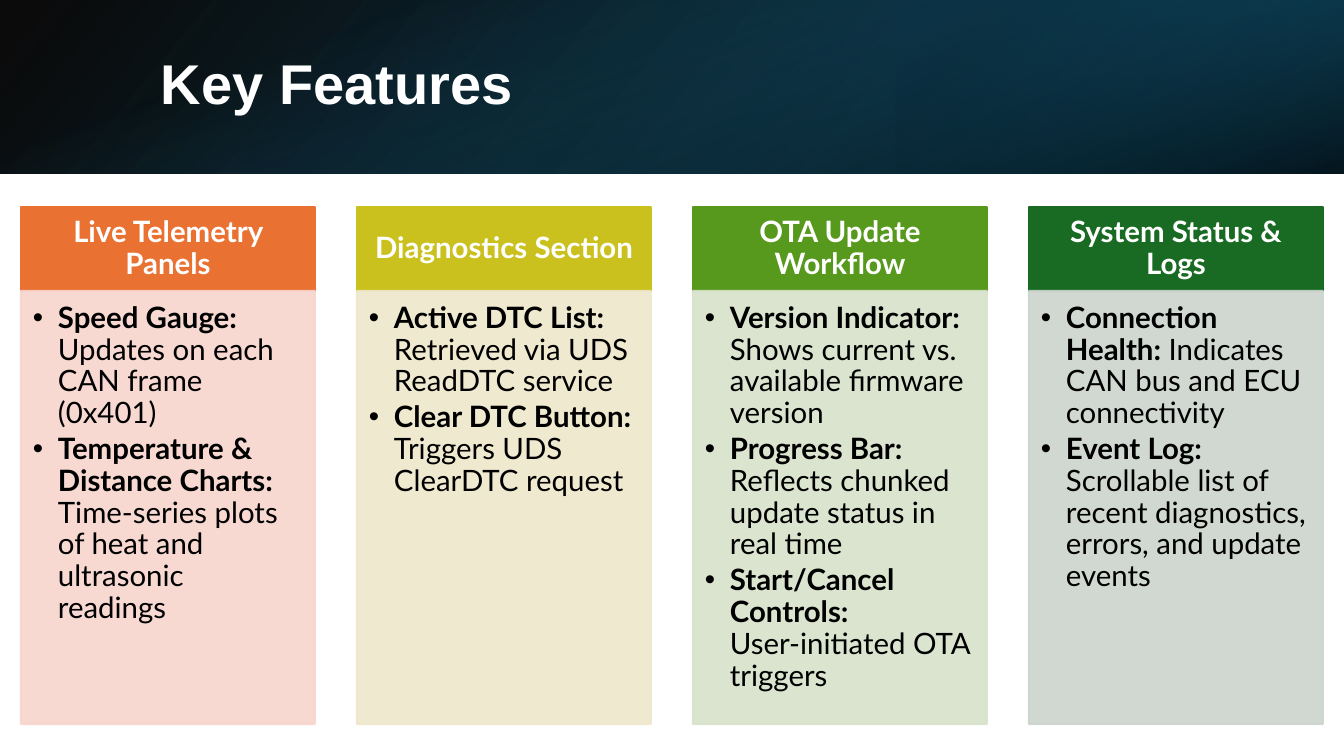
from lxml import etree
from pptx import Presentation
from pptx.dml.color import RGBColor
from pptx.enum.shapes import MSO_SHAPE
from pptx.enum.text import MSO_ANCHOR, PP_ALIGN
from pptx.oxml.ns import qn
from pptx.util import Emu, Pt

RECT = MSO_SHAPE.RECTANGLE
TOP, MIDDLE = MSO_ANCHOR.TOP, MSO_ANCHOR.MIDDLE
LEFT, CENTER = PP_ALIGN.LEFT, PP_ALIGN.CENTER
SCALE = 914400 / 100.8
THEME = {
    "light": "FFFFFF", "dark": "000000",
    "title_font": "Arial", "title_size": 40,
    "card_font": "Lato", "card_size": 21,
    "line_width": 1.5, "line_spacing": 0.9, "item_gap": 3,
}


def px(*lengths):
    return [Emu(round(length * SCALE)) for length in lengths]


def set_alpha(shape, percents):
    for color, percent in zip(shape.element.spPr.iter(qn("a:srgbClr")), percents):
        etree.SubElement(color, qn("a:alpha")).set("val", str(percent * 1000))


prs = Presentation()
prs.slide_width, prs.slide_height = px(1344, 756)
slide = prs.slides.add_slide(prs.slide_layouts[6])

banner_layers = [
    ((0, 0, 1344, 174), 0, True, 140, [(0, "000000", 96), (100, "104862", 100)]),
    ((896, 0, 448, 174), 180, True, 320, [(19, "0B3041", 68), (100, "156082", 79)]),
    ((585, -585, 174, 1344), 90, False, 340, [(23, "156082", 0), (99, "000000", 74)]),
]
for frame, rotation, flipped, angle, stops in banner_layers:
    layer = slide.shapes.add_shape(RECT, *px(*frame))
    layer.shadow.inherit = False
    layer.rotation = rotation
    if flipped:
        layer.element.spPr.find(qn("a:xfrm")).set("flipH", "1")
    layer.line.fill.background()
    layer.fill.gradient()
    layer.fill.gradient_angle = 360 - angle
    for stop, (position, color, _) in zip(layer.fill.gradient_stops, stops):
        stop.position = position / 100
        stop.color.rgb = RGBColor.from_string(color)
    set_alpha(layer, [alpha for _, _, alpha in stops])

title = slide.shapes.add_textbox(*px(151, 38, 1107, 97)).text_frame
title.word_wrap = True
title.vertical_anchor = MIDDLE
title_line = title.paragraphs[0]
title_line.text = "Key Features"
title_line.line_spacing = THEME["line_spacing"]
title_format = {"name": THEME["title_font"], "size": Pt(THEME["title_size"]), "bold": True}
for key, value in title_format.items():
    setattr(title_line.font, key, value)
title_line.font.color.rgb = RGBColor.from_string(THEME["light"])

features = [
    ("E97132", "F7D5CE", "Live Telemetry Panels", [
        ("Speed Gauge:", " Updates on each CAN frame (0x401)"),
        ("Temperature & Distance Charts:",
         " Time‑series plots of heat and ultrasonic readings"),
    ]),
    ("CBC11E", "EEE7CB", "Diagnostics Section", [
        ("Active DTC List:", " Retrieved via UDS ReadDTC service"),
        ("Clear DTC Button:", " Triggers UDS ClearDTC request"),
    ]),
    ("56991D", "D8E2CA", "OTA Update Workflow", [
        ("Version Indicator:", " Shows current vs. available firmware version"),
        ("Progress Bar:", " Reflects chunked update status in real time"),
        ("Start/Cancel Controls:", " User‑initiated OTA triggers"),
    ]),
    ("196B24", "CCD4CD", "System Status & Logs", [
        ("Connection Health:", " Indicates CAN bus and ECU connectivity"),
        ("Event Log:",
         " Scrollable list of recent diagnostics, errors, and update events"),
    ]),
]
for column, (accent, tint, heading, items) in enumerate(features):
    card_parts = [
        (207, 84, accent, 100, MIDDLE, (16, 9, 16, 9), THEME["light"], [(heading, "")]),
        (291, 433, tint, 90, TOP, (12, 12, 16, 18), THEME["dark"], items),
    ]
    for top, height, color, alpha, anchor, insets, ink, entries in card_parts:
        part = slide.shapes.add_shape(RECT, *px(21 + column * 336, top, 294, height))
        part.shadow.inherit = False
        part.fill.solid()
        part.fill.fore_color.rgb = RGBColor.from_string(color)
        part.line.color.rgb = RGBColor.from_string(color)
        part.line.width = Pt(THEME["line_width"])
        if alpha < 100:
            set_alpha(part, [alpha, alpha])

        frame = part.text_frame
        margins = ("margin_left", "margin_top", "margin_right", "margin_bottom")
        frame_format = dict(zip(margins, px(*insets)), word_wrap=True, vertical_anchor=anchor)
        for key, value in frame_format.items():
            setattr(frame, key, value)

        for index, (label, detail) in enumerate(entries):
            entry = frame.add_paragraph() if index else frame.paragraphs[0]
            entry.alignment = CENTER if anchor == MIDDLE else LEFT
            entry.line_spacing = THEME["line_spacing"]
            if anchor == TOP:
                entry.space_after = Pt(THEME["item_gap"])
                properties = entry._p.get_or_add_pPr()
                indent = px(25)[0]
                properties.set("marL", str(indent))
                properties.set("indent", str(-indent))
                etree.SubElement(properties, qn("a:buFont")).set("typeface", "Arial")
                etree.SubElement(properties, qn("a:buChar")).set("char", "•")
            for wording, bold in ((label, True), (detail, False)):
                if wording:
                    run = entry.add_run()
                    run.text = wording
                    run_format = {"name": THEME["card_font"],
                                  "size": Pt(THEME["card_size"]), "bold": bold}
                    for key, value in run_format.items():
                        setattr(run.font, key, value)
                    run.font.color.rgb = RGBColor.from_string(ink)

prs.save("out.pptx")
